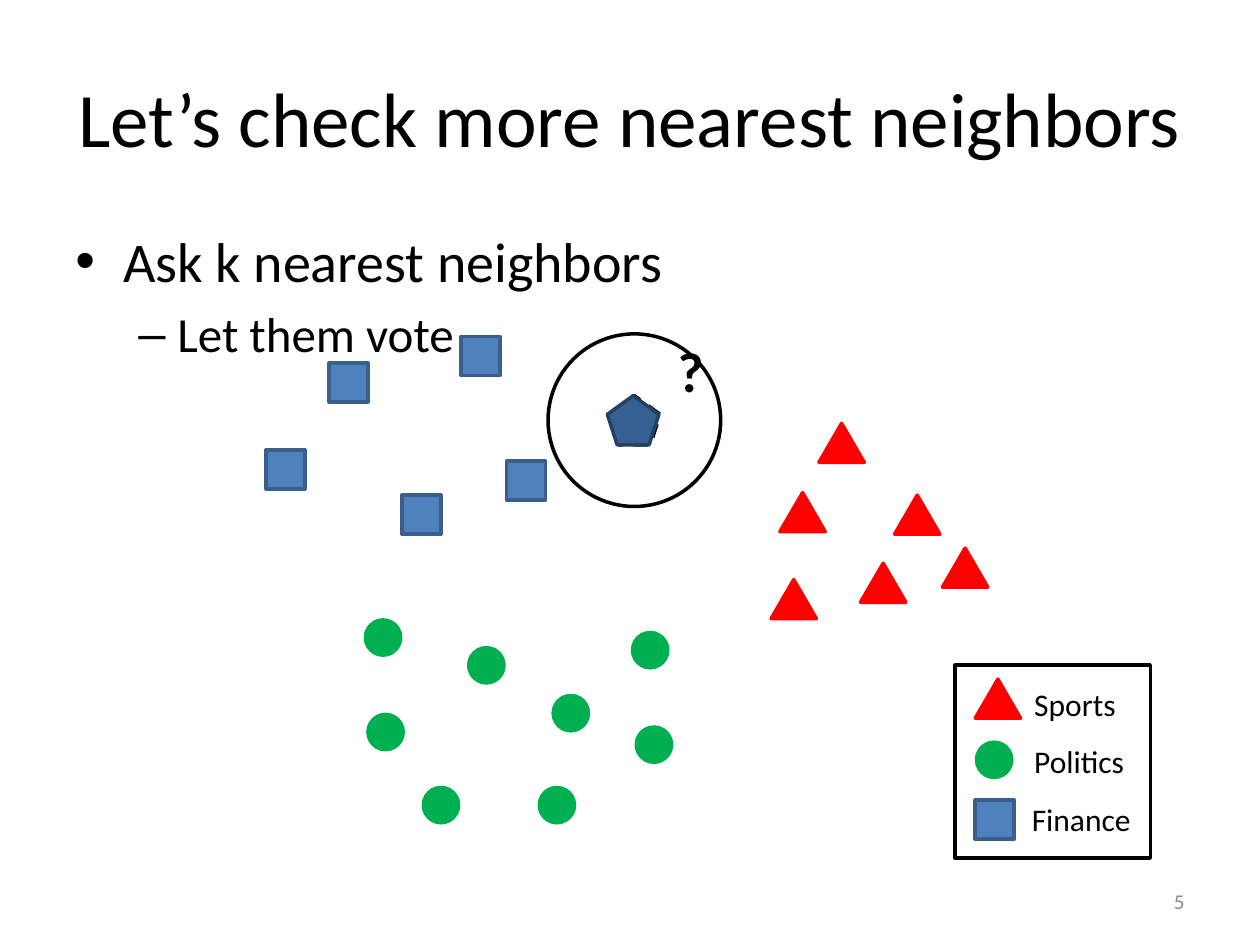
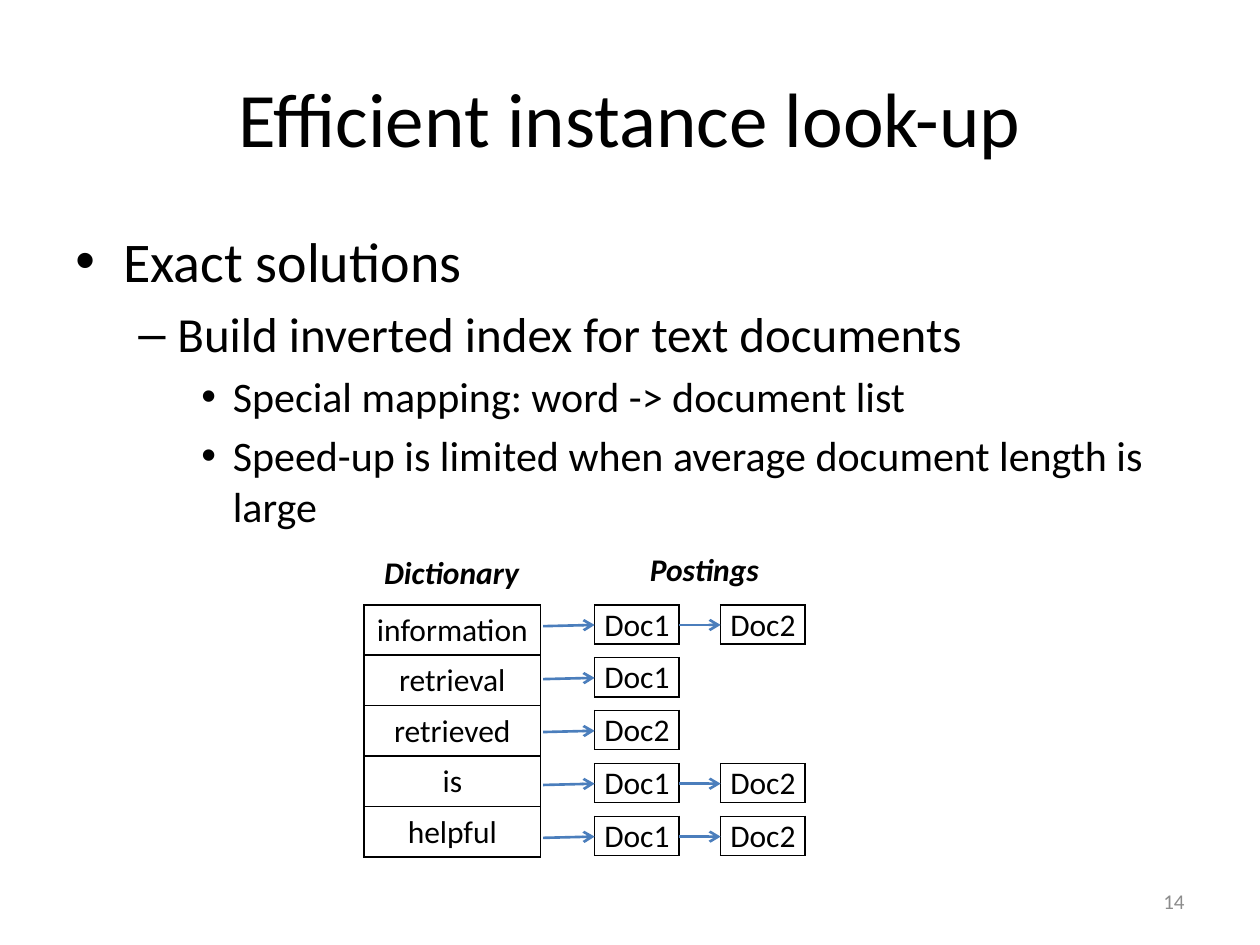
import pptx
import pptx.dml.color
import pptx.enum.dml
import pptx.enum.shapes
import pptx.enum.text
import pptx.oxml
import pptx.oxml.ns
import pptx.oxml.xmlchemy
import pptx.util

Inches = pptx.util.Inches
Pt = pptx.util.Pt
RGB = pptx.dml.color.RGBColor.from_string
qn = pptx.oxml.ns.qn
new_element = pptx.oxml.xmlchemy.OxmlElement
SHAPE = pptx.enum.shapes.MSO_SHAPE
ALIGN = pptx.enum.text.PP_ALIGN
ANCHOR = pptx.enum.text.MSO_ANCHOR

FONT = "Calibri"
COLORS = {
    "text": "000000",
    "number": "8C8C8C",
    "finance": "4F81BD",
    "finance line": "3A5F8C",
    "sports": "FF0000",
    "politics": "00B050",
    "query": "376092",
    "query line": "254061",
    "arrow": "4B7EBC",
}
# Bullet, size, left indent and hanging indent of each outline level
LEVELS = [("•", 32, 0.38, 0.38), ("–", 28, 0.81, 0.31), ("•", 24, 1.25, 0.25)]


def set_text(para, text, size, color="text", align=None, bold=None, italic=None):
    para.text = text
    para.alignment = align
    font = para.font
    font.name, font.size = FONT, Pt(size)
    font.bold, font.italic = bold, italic
    font.color.rgb = RGB(COLORS[color])


def add_shape(slide, kind, left, top, width, height, line, fill=None):
    shape = slide.shapes.add_shape(
        kind, Inches(left), Inches(top), Inches(width), Inches(height))
    shape.shadow.inherit = False
    if fill:
        shape.fill.solid()
        shape.fill.fore_color.rgb = RGB(COLORS[fill])
    else:
        shape.fill.background()
    shape.line.color.rgb = RGB(COLORS[line])
    shape.line.width = Pt(2)
    return shape


deck = pptx.Presentation()
deck.slide_width, deck.slide_height = Inches(10), Inches(7.5)

# Title, outline and page number of every slide
outlines = [
    ("Let’s check more nearest neighbors", "5", [
        (0, "Ask k nearest neighbors"),
        (1, "Let them vote"),
    ]),
    ("Efficient instance look-up", "14", [
        (0, "Exact solutions"),
        (1, "Build inverted index for text documents"),
        (2, "Special mapping: word -> document list"),
        (2, "Speed-up is limited when average document length is large"),
    ]),
]
slides = []
for heading, number, points in outlines:
    slide = deck.slides.add_slide(deck.slide_layouts[5])
    slides.append(slide)
    title = slide.shapes.title
    title.left, title.top = Inches(0.5), Inches(0.3)
    title.width, title.height = Inches(9), Inches(1.25)
    title.text_frame.vertical_anchor = ANCHOR.MIDDLE
    set_text(title.text_frame.paragraphs[0], heading, 44, align=ALIGN.CENTER)

    body = slide.shapes.add_textbox(Inches(0.5), Inches(1.75), Inches(9), Inches(4.95))
    frame = body.text_frame
    frame.word_wrap = True
    for index, (level, text) in enumerate(points):
        para = frame.add_paragraph() if index else frame.paragraphs[0]
        bullet, size, indent, hanging = LEVELS[level]
        set_text(para, text, size)
        para.level = level
        para.space_before = Pt(round(size * 0.2, 1))
        props = para._p.get_or_add_pPr()
        props.set("marL", str(Inches(indent)))
        props.set("indent", str(-Inches(hanging)))
        for tag, key, value in [("a:buFont", "typeface", "Arial"),
                                ("a:buChar", "char", bullet)]:
            mark = new_element(tag)
            mark.set(key, value)
            props.insert_element_before(mark, "a:tabLst", "a:defRPr", "a:extLst")

    footer = slide.shapes.add_textbox(Inches(7.17), Inches(6.95), Inches(2.33), Inches(0.4))
    footer.text_frame.word_wrap = True
    footer.text_frame.vertical_anchor = ANCHOR.MIDDLE
    set_text(footer.text_frame.paragraphs[0], number, 12, "number", ALIGN.RIGHT)

neighbors, lookup = slides

# Slide 1: labelled documents around the unknown one, and the legend
classes = {
    "Finance": ((SHAPE.RECTANGLE, 0.31, 0.31, "finance line", "finance"), [
        (2.61, 2.88), (2.11, 3.57), (3.19, 3.93), (3.66, 2.67), (4.02, 3.66)]),
    "Sports": ((SHAPE.ISOSCELES_TRIANGLE, 0.36, 0.31, "sports", "sports"), [
        (6.5, 3.36), (6.19, 3.91), (6.12, 4.6), (7.48, 4.35), (7.1, 3.93), (6.83, 4.47)]),
    "Politics": ((SHAPE.OVAL, 0.28, 0.28, "politics", "politics"), [
        (2.9, 4.92), (3.72, 5.14), (4.39, 5.52), (4.28, 6.25),
        (3.36, 6.25), (2.92, 5.67), (5.02, 5.02), (5.05, 5.77)]),
}
legend_marks = {"Sports": (7.74, 5.39), "Politics": (7.75, 5.89), "Finance": (7.74, 6.35)}
for name, ((kind, width, height, line, fill), places) in classes.items():
    for left, top in places + [legend_marks[name]]:
        add_shape(neighbors, kind, left, top, width, height, line, fill)

outline = add_shape(neighbors, SHAPE.REGULAR_PENTAGON, 4.83, 3.14, 0.41, 0.39, "text")
outline.line.dash_style = pptx.enum.dml.MSO_LINE.DASH
add_shape(neighbors, SHAPE.RECTANGLE, 7.58, 5.28, 1.55, 1.53, "text")
add_shape(neighbors, SHAPE.OVAL, 4.35, 2.65, 1.37, 1.37, "text")
add_shape(neighbors, SHAPE.REGULAR_PENTAGON, 4.82, 3.14, 0.41, 0.39, "query line", "query")

# Slide 2: dictionary words and the documents that hold them
postings = {
    "information": ["Doc1", "Doc2"],
    "retrieval": ["Doc1"],
    "retrieved": ["Doc2"],
    "is": ["Doc1", "Doc2"],
    "helpful": ["Doc1", "Doc2"],
}
tables = [(2.89, 4.8, 1.4, 0.4, list(postings))]
arrows = []
for row, documents in enumerate(postings.values()):
    top = 4.8 + 0.42 * row
    arrows.append((4.31, top + 0.17, 4.72, top + 0.16))
    for column, document in enumerate(documents):
        tables.append((4.72 + column, top, 0.67, 0.31, [document]))
    if len(documents) > 1:
        arrows.append((5.39, top + 0.16, 5.72, top + 0.16))

for left, top, width, row_height, words in tables:
    table = lookup.shapes.add_table(
        len(words), 1, Inches(left), Inches(top),
        Inches(width), Inches(row_height * len(words))).table
    table.first_row = table.horz_banding = False
    for row, word in enumerate(words):
        table.rows[row].height = Inches(row_height)
        cell = table.cell(row, 0)
        cell.fill.background()
        cell.vertical_anchor = ANCHOR.MIDDLE
        cell.margin_left = cell.margin_right = cell.margin_top = Inches(0.01)
        cell.margin_bottom = 0
        set_text(cell.text_frame.paragraphs[0], word, 18, align=ALIGN.CENTER)
        for position, side in enumerate(["lnL", "lnR", "lnT", "lnB"]):
            border = pptx.oxml.parse_xml(
                f'<a:{side} {pptx.oxml.ns.nsdecls("a")} w="{Pt(1)}"><a:solidFill>'
                f'<a:srgbClr val="{COLORS["text"]}"/></a:solidFill></a:{side}>')
            cell._tc.get_or_add_tcPr().insert(position, border)

for start_x, start_y, end_x, end_y in arrows:
    arrow = lookup.shapes.add_connector(
        pptx.enum.shapes.MSO_CONNECTOR.STRAIGHT,
        Inches(start_x), Inches(start_y), Inches(end_x), Inches(end_y))
    arrow.line.color.rgb = RGB(COLORS["arrow"])
    arrow.line.width = Pt(1.5)
    properties = arrow._element.spPr
    head = new_element("a:tailEnd")
    head.set("type", "arrow")
    properties.find(qn("a:ln")).append(head)
    properties.append(new_element("a:effectLst"))

# Free labels of both slides
labels = [
    (neighbors, "?", 5.28, 2.62, 0.9, 0.64, 32, True, False),
    (neighbors, "Sports", 8.11, 5.39, 1.39, 0.4, 18, False, False),
    (neighbors, "Politics", 8.11, 5.84, 1.39, 0.4, 18, False, False),
    (neighbors, "Finance", 8.09, 6.3, 1.39, 0.4, 18, False, False),
    (lookup, "Dictionary", 2.95, 4.34, 1.53, 0.4, 18, True, True),
    (lookup, "Postings", 5.06, 4.32, 1.53, 0.4, 18, True, True),
]
for slide, text, left, top, width, height, size, bold, italic in labels:
    box = slide.shapes.add_textbox(Inches(left), Inches(top), Inches(width), Inches(height))
    box.text_frame.word_wrap = True
    set_text(box.text_frame.paragraphs[0], text, size, bold=bold, italic=italic)

deck.save("out.pptx")
